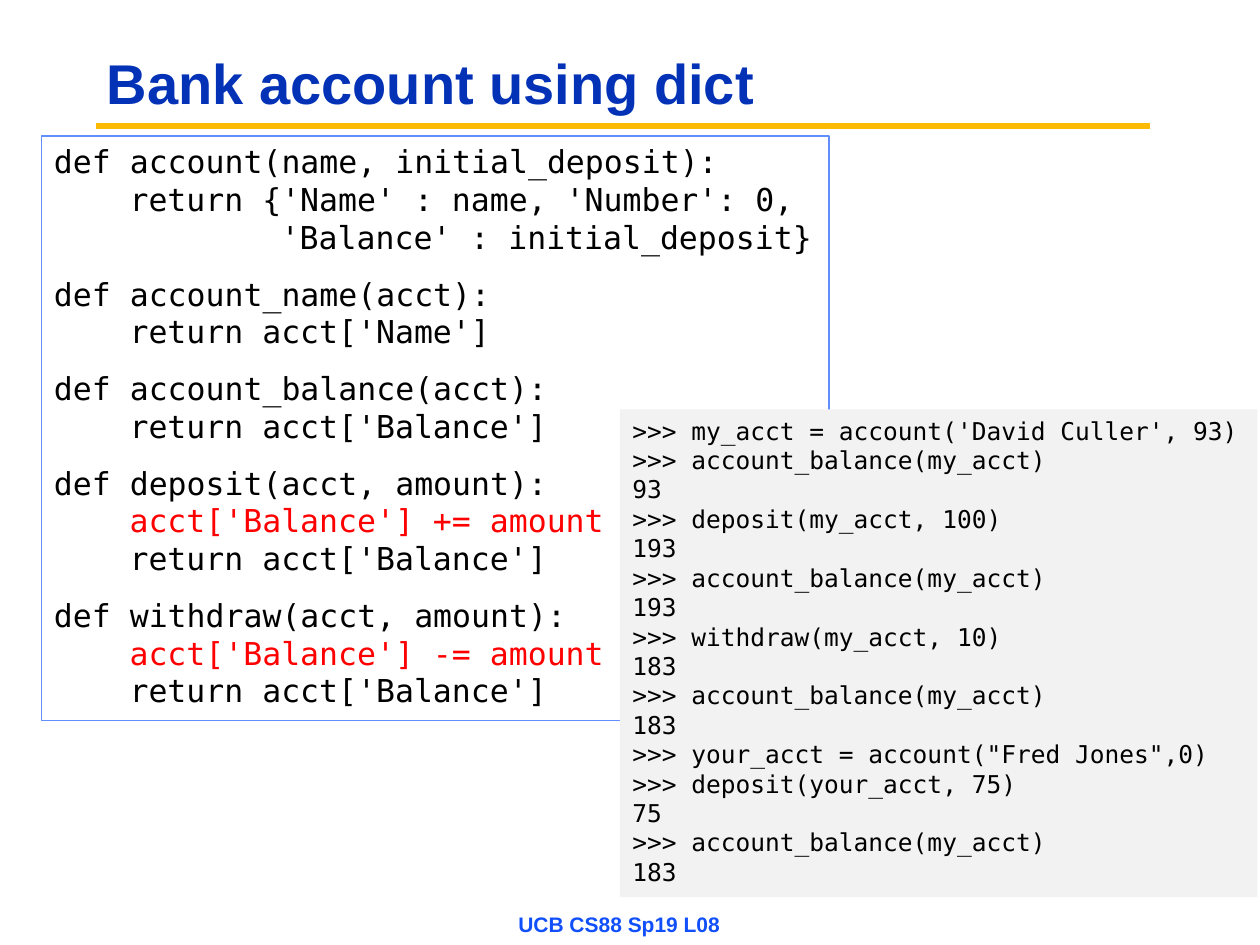
import pptx
import pptx.util
import pptx.dml.color
import pptx.enum.shapes
import pptx.enum.text
import pptx.oxml

WIDE, HIGH = 10, 7.5
INK = {"title": "0332B7", "rule": "FBBA03", "frame": "618FFD", "panel": "F2F2F2",
       "code": "000000", "change": "FF0000", "foot": "114FFB"}
SANS, MONO = "Arial", "DejaVu Sans Mono"
TAB = 0.15

CODE = [
    [(0, "def account(name, initial_deposit):"),
     (4, "return {'Name' : name, 'Number': 0,"),
     (12, "'Balance' : initial_deposit}")],
    [(0, "def account_name(acct):"), (4, "return acct['Name']")],
    [(0, "def account_balance(acct):"), (4, "return acct['Balance']")],
    [(0, "def deposit(acct, amount):"),
     (4, "acct['Balance'] += amount", "change"),
     (4, "return acct['Balance']")],
    [(0, "def withdraw(acct, amount):"),
     (4, "acct['Balance'] -= amount", "change"),
     (4, "return acct['Balance']")],
]

SHELL = [
    ">>> my_acct = account('David Culler', 93)",
    ">>> account_balance(my_acct)", "93",
    ">>> deposit(my_acct, 100)", "193",
    ">>> account_balance(my_acct)", "193",
    ">>> withdraw(my_acct, 10)", "183",
    ">>> account_balance(my_acct)", "183",
    ">>> your_acct = account(\"Fred Jones\",0)",
    ">>> deposit(your_acct, 75)", "75",
    ">>> account_balance(my_acct)", "183",
]


def tint(name):
    return pptx.dml.color.RGBColor.from_string(INK[name])


def place(x, y, w, h):
    return [pptx.util.Inches(v) for v in (x * WIDE, y * HIGH, w * WIDE, h * HIGH)]


def add_run(para, text, size, font, ink, bold=False):
    run = para.add_run()
    run.text = text
    run.font.size = pptx.util.Pt(size)
    run.font.name = font
    run.font.bold = bold
    run.font.color.rgb = tint(ink)


def add_label(slide, box, text, size, ink, align):
    frame = slide.shapes.add_textbox(*place(*box)).text_frame
    frame.word_wrap = True
    frame.vertical_anchor = pptx.enum.text.MSO_ANCHOR.MIDDLE
    para = frame.paragraphs[0]
    para.alignment = align
    add_run(para, text, size, SANS, ink, True)


def add_rule(slide, x, y, w):
    left, top, span, _ = place(x, y, w, 0)
    line = slide.shapes.add_connector(
        pptx.enum.shapes.MSO_CONNECTOR.STRAIGHT, left, top, left + span, top)
    line.line.color.rgb = tint("rule")
    line.line.width = pptx.util.Pt(3.75)
    line._element.spPr.append(pptx.oxml.parse_xml(
        '<a:effectLst xmlns:a="http://schemas.openxmlformats.org/drawingml/2006/main"/>'))


def add_panel(slide, box, fill=None, edge=None):
    panel = slide.shapes.add_shape(
        pptx.enum.shapes.MSO_SHAPE.RECTANGLE, *place(*box))
    panel.shadow.inherit = False
    if fill:
        panel.fill.solid()
        panel.fill.fore_color.rgb = tint(fill)
    else:
        panel.fill.background()
    if edge:
        panel.line.color.rgb = tint(edge)
        panel.line.width = pptx.util.Pt(0.75)
    else:
        panel.line.fill.background()
    frame = panel.text_frame
    frame.word_wrap = False
    frame.vertical_anchor = pptx.enum.text.MSO_ANCHOR.TOP
    return frame


def add_code(frame, blocks, size, gap=0):
    para = None
    for block in blocks:
        for row, (cols, text, *ink) in enumerate(block):
            first = para is None
            para = frame.paragraphs[0] if first else frame.add_paragraph()
            para.alignment = pptx.enum.text.PP_ALIGN.LEFT
            if cols:
                props = para._p.get_or_add_pPr()
                props.set("marL", str(pptx.util.Inches(cols * TAB)))
                props.set("indent", "0")
            if row == 0 and not first:
                para.space_before = pptx.util.Pt(gap)
            add_run(para, text, size, MONO, ink[0] if ink else "code")


def main():
    deck = pptx.Presentation()
    deck.slide_width = pptx.util.Inches(WIDE)
    deck.slide_height = pptx.util.Inches(HIGH)
    slide = deck.slides.add_slide(deck.slide_layouts[6])
    align = pptx.enum.text.PP_ALIGN

    add_rule(slide, 0.076, 1 / HIGH, 0.837)
    add_label(slide, (0.075, 0.25 / HIGH, 0.842, 0.81 / HIGH),
              "Bank account using dict", 32, "title", align.LEFT)
    code = add_panel(slide, (0.033, 1.08 / HIGH, 0.625, 4.64 / HIGH), edge="frame")
    add_code(code, CODE, 18, 10.8)
    shell = add_panel(slide, (0.492, 3.25 / HIGH, 0.506, 3.87 / HIGH), fill="panel")
    add_code(shell, [[(0, text) for text in SHELL]], 14)
    add_label(slide, (0.333, 7.17 / HIGH, 0.317, 0.33 / HIGH),
              "UCB CS88 Sp19 L08", 12, "foot", align.CENTER)
    deck.save("out.pptx")


if __name__ == "__main__":
    main()
